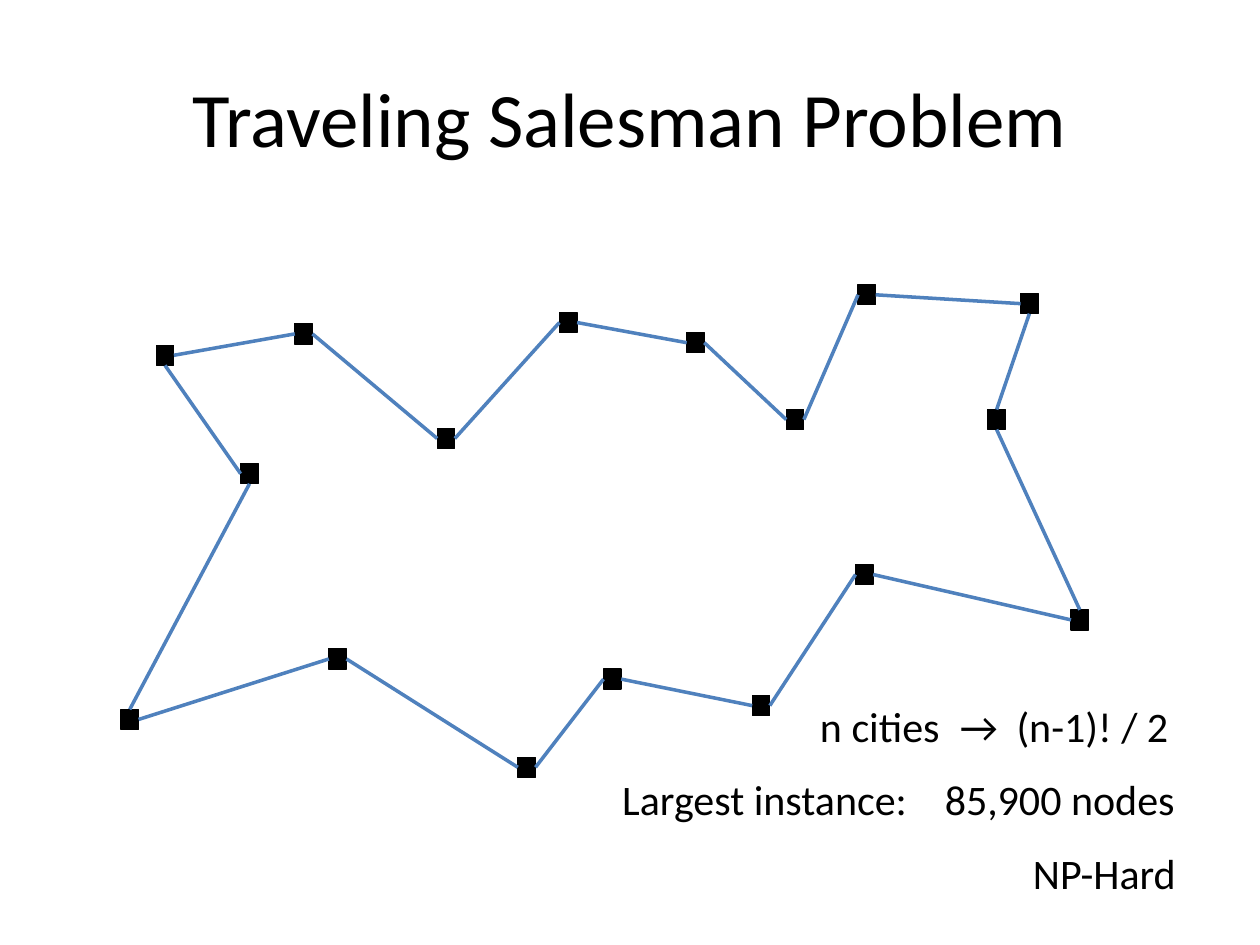
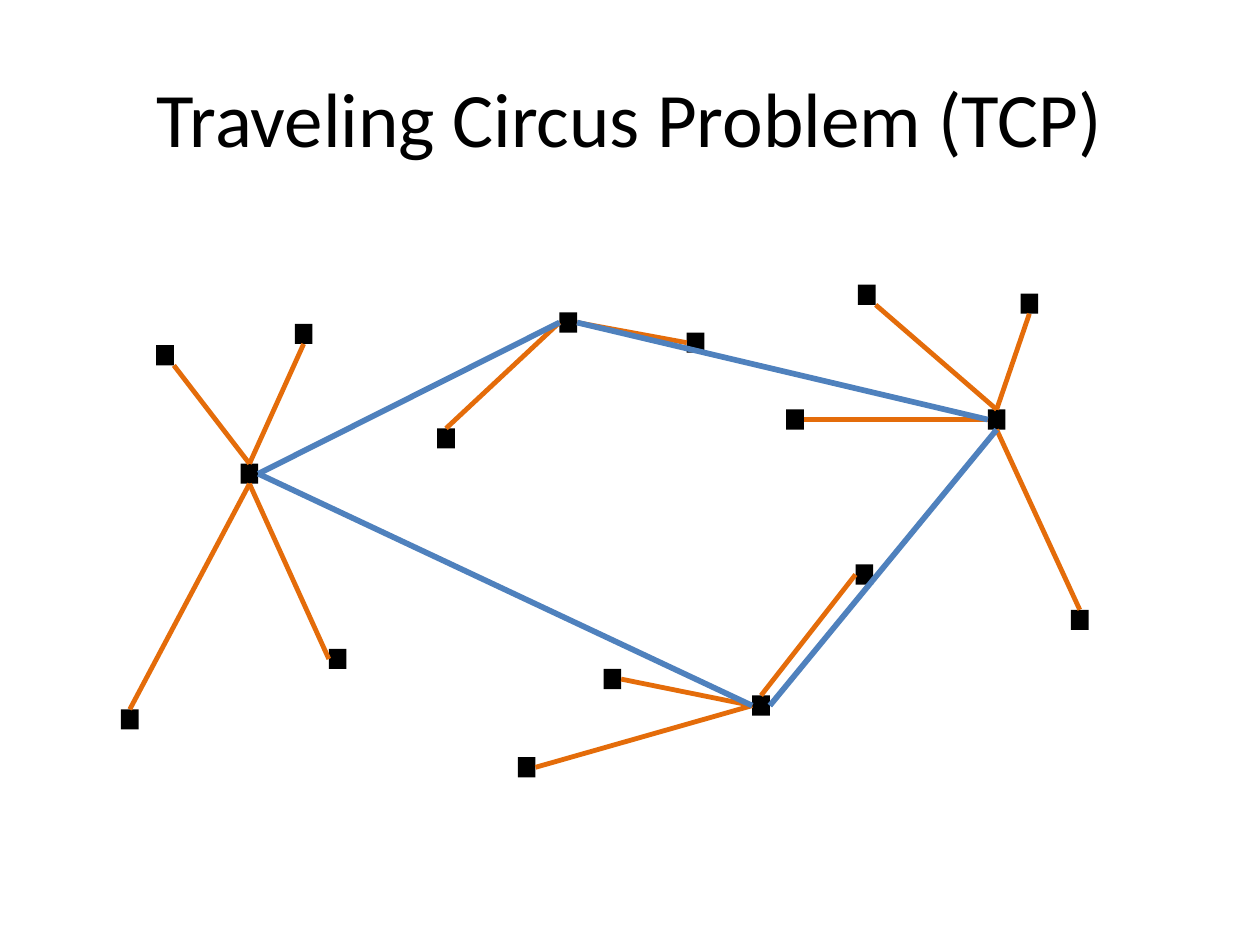
"""Build two slides that compare the salesman tour with the circus tour."""
import lxml.etree
import pptx
import pptx.dml.color
import pptx.enum.shapes
import pptx.enum.text
import pptx.oxml.ns
import pptx.util

Inches = pptx.util.Inches
Pt = pptx.util.Pt
ALIGN = pptx.enum.text.PP_ALIGN

BLACK = pptx.dml.color.RGBColor(0x00, 0x00, 0x00)
BLUE = pptx.dml.color.RGBColor(0x4F, 0x81, 0xBD)
ORANGE = pptx.dml.color.RGBColor(0xE4, 0x6C, 0x0A)

TOP, LEFT, BOTTOM, RIGHT, CORNER = range(5)
CITY_WIDTH, CITY_HEIGHT = 0.14, 0.16

CITIES = {
    "A": (2.34, 2.57), "B": (1.24, 2.74), "C": (8.5, 4.84),
    "D": (4.11, 6.01), "E": (6.81, 2.26), "F": (1.91, 3.68),
    "G": (6.79, 4.48), "H": (2.61, 5.15), "I": (4.44, 2.48),
    "J": (5.97, 5.52), "K": (7.84, 3.25), "L": (5.45, 2.64),
    "M": (3.47, 3.4), "N": (6.24, 3.25), "O": (4.79, 5.31),
    "P": (8.1, 2.33), "Q": (0.96, 5.63),
}

SALESMAN_TOUR = [
    ("B", RIGHT, "A", LEFT), ("A", RIGHT, "M", LEFT), ("B", BOTTOM, "F", LEFT),
    ("M", RIGHT, "I", LEFT), ("F", BOTTOM, "Q", TOP), ("Q", RIGHT, "H", LEFT),
    ("H", RIGHT, "D", LEFT), ("I", RIGHT, "L", LEFT), ("L", RIGHT, "N", LEFT),
    ("N", RIGHT, "E", LEFT), ("E", RIGHT, "P", LEFT), ("P", BOTTOM, "K", TOP),
    ("C", TOP, "K", BOTTOM), ("G", RIGHT, "C", LEFT), ("J", RIGHT, "G", LEFT),
    ("O", RIGHT, "J", LEFT), ("D", RIGHT, "O", LEFT),
]

VISITOR_ROADS = [
    ("E", CORNER, "K", TOP), ("A", BOTTOM, "F", TOP), ("F", BOTTOM, "H", LEFT),
    ("F", BOTTOM, "Q", TOP), ("B", CORNER, "F", TOP), ("P", BOTTOM, "K", TOP),
    ("N", RIGHT, "K", LEFT), ("K", BOTTOM, "C", TOP), ("I", RIGHT, "L", LEFT),
    ("I", LEFT, "M", TOP), ("J", TOP, "G", LEFT), ("J", LEFT, "O", RIGHT),
    ("J", LEFT, "D", RIGHT),
]

CIRCUS_TOUR = [
    ("F", RIGHT, "I", LEFT), ("I", RIGHT, "K", LEFT),
    ("F", RIGHT, "J", LEFT), ("J", RIGHT, "K", BOTTOM),
]

FACTS = [
    ("n cities\t→\t(n-1)! / 2", 6.41, 5.51, 3.14, (1.11, 1.56)),
    ("Largest instance:\t85,900 nodes", 4.84, 6.09, 4.66, (2.56,)),
    ("NP-Hard", 8.1, 6.68, 1.66, ()),
]


def write_text(frame, text, size=24, color=BLACK, font="Calibri",
               align=ALIGN.LEFT, tabs=()):
    para = frame.paragraphs[0]
    para.alignment = align
    span = para.add_run()
    span.text = text
    span.font.size = Pt(size)
    span.font.name = font
    span.font.color.rgb = color
    if tabs:
        properties = para._p.get_or_add_pPr()
        stops = lxml.etree.SubElement(properties, pptx.oxml.ns.qn("a:tabLst"))
        for position in tabs:
            lxml.etree.SubElement(stops, pptx.oxml.ns.qn("a:tab"),
                                  pos=str(Inches(position)), algn="l")


class MapDeck:
    def __init__(self):
        self.deck = pptx.Presentation()
        self.deck.slide_width = Inches(10)
        self.deck.slide_height = Inches(7.5)
        self.slide = None
        self.cities = {}

    def new_slide(self, title):
        self.slide = self.deck.slides.add_slide(self.deck.slide_layouts[5])
        box = self.slide.shapes.title
        box.left, box.top = Inches(0.5), Inches(0.3)
        box.width, box.height = Inches(9), Inches(1.25)
        box.text_frame.vertical_anchor = pptx.enum.text.MSO_ANCHOR.MIDDLE
        write_text(box.text_frame, title, size=44, align=ALIGN.CENTER)

    def add_cities(self, outlined):
        self.cities = {}
        for name, (left, top) in CITIES.items():
            city = self.slide.shapes.add_shape(
                pptx.enum.shapes.MSO_SHAPE.RECTANGLE, Inches(left), Inches(top),
                Inches(CITY_WIDTH), Inches(CITY_HEIGHT))
            city.shadow.inherit = False
            city.fill.solid()
            city.fill.fore_color.rgb = BLACK
            if outlined:
                city.line.color.rgb = BLACK
                city.line.width = Pt(0.75)
            else:
                city.line.fill.background()
            self.cities[name] = city

    def add_roads(self, roads, color, width):
        for start, start_side, end, end_side in roads:
            city = self.cities[start]
            right, bottom = city.left + city.width, city.top + city.height
            road = self.slide.shapes.add_connector(
                pptx.enum.shapes.MSO_CONNECTOR.STRAIGHT,
                right, bottom, right, bottom)
            if start_side != CORNER:
                road.begin_connect(city, start_side)
            road.end_connect(self.cities[end], end_side)
            road.line.color.rgb = color
            road.line.width = Pt(width)
            lxml.etree.SubElement(road._element.spPr,
                                  pptx.oxml.ns.qn("a:effectLst"))

    def add_fact(self, text, left, top, width, tabs):
        box = self.slide.shapes.add_textbox(
            Inches(left), Inches(top), Inches(width), Inches(0.5))
        box.text_frame.word_wrap = True
        write_text(box.text_frame, text, tabs=tabs)


def main():
    maps = MapDeck()

    maps.new_slide("Traveling Salesman Problem")
    maps.add_cities(outlined=True)
    maps.add_roads(SALESMAN_TOUR, BLUE, 2)
    for fact in FACTS:
        maps.add_fact(*fact)

    maps.new_slide("Traveling Circus Problem (TCP)")
    maps.add_cities(outlined=False)
    maps.add_roads(VISITOR_ROADS, ORANGE, 2.75)
    maps.add_roads(CIRCUS_TOUR, BLUE, 3.25)

    maps.deck.save("out.pptx")


if __name__ == "__main__":
    main()
